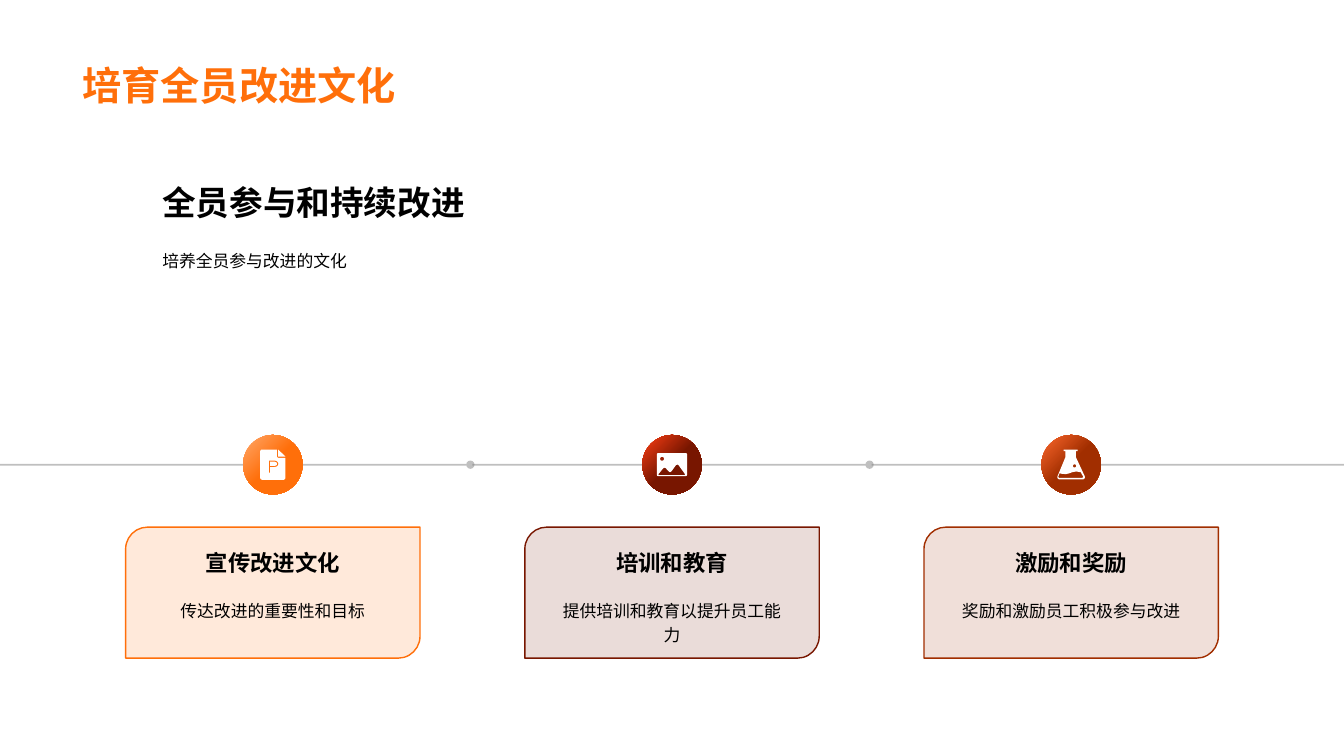
import math

import pptx
import pptx.dml.color
import pptx.enum.shapes
import pptx.enum.text
import pptx.oxml
import pptx.oxml.ns
import pptx.util

# The slide is a grid of square cells, ten to the inch.
CELL = 91440
COLUMNS, ROWS = 133.33, 75
STEP_PITCH = 39.6
AXIS_ROW = 46.1
LINE_GAP = 0.2

SHAPES = pptx.enum.shapes.MSO_SHAPE
ANCHORS = pptx.enum.text.MSO_ANCHOR
ALIGNS = pptx.enum.text.PP_ALIGN


def cells(*counts):
    return [pptx.util.Emu(round(count * CELL)) for count in counts]


def rgb(hex_string):
    return pptx.dml.color.RGBColor.from_string(hex_string)


def set_opacity(fill, percent):
    color = fill._xPr.find(".//" + pptx.oxml.ns.qn("a:srgbClr"))
    alpha = color.makeelement(pptx.oxml.ns.qn("a:alpha"), {"val": str(percent * 1000)})
    color.append(alpha)


def add_text(slide, text, box, size, color="000000", bold=False, align=ALIGNS.LEFT,
             anchor=ANCHORS.TOP, inset=(1.2, 1.2), line_spacing=None):
    frame = slide.shapes.add_textbox(*cells(*box)).text_frame
    frame.word_wrap = True
    frame.vertical_anchor = anchor
    frame.margin_left = frame.margin_right = cells(inset[0])[0]
    frame.margin_top = frame.margin_bottom = cells(inset[1])[0]
    paragraph = frame.paragraphs[0]
    paragraph.alignment = align
    if line_spacing:
        paragraph.line_spacing = line_spacing
    run = paragraph.add_run()
    run.text = text
    run.font.name = "Arial"
    run.font.size = pptx.util.Pt(size)
    run.font.bold = bold
    run.font.color.rgb = rgb(color)
    run._r.get_or_add_rPr().set("lang", "zh-CN")


def add_axis(slide, start, end, dotted_end):
    axis = slide.shapes.add_connector(
        pptx.enum.shapes.MSO_CONNECTOR.STRAIGHT, *cells(start, AXIS_ROW, end, AXIS_ROW))
    axis.line.width = pptx.util.Pt(1.25)
    axis.line.color.rgb = rgb("808080")
    set_opacity(axis.line.fill, 50)
    outline = axis.line._get_or_add_ln()
    if dotted_end:
        outline.append(outline.makeelement(pptx.oxml.ns.qn("a:tailEnd"), {"type": "oval"}))
    properties = axis._element.spPr
    properties.append(properties.makeelement(pptx.oxml.ns.qn("a:effectLst"), {}))


def add_card(slide, center, color):
    card = slide.shapes.add_shape(SHAPES.ROUND_2_DIAG_RECTANGLE,
                                  *cells(center - 14.6, 52.3, 29.2, 13))
    card.shadow.inherit = False
    card.fill.solid()
    card.fill.fore_color.rgb = rgb(color)
    set_opacity(card.fill, 15)
    card.line.color.rgb = rgb(color)
    card.line.width = pptx.util.Pt(1)


def add_badge(slide, center, light, dark):
    size = 5.9
    badge = slide.shapes.add_shape(
        SHAPES.OVAL, *cells(center - size / 2, AXIS_ROW - size / 2, size, size))
    badge.shadow.inherit = False
    badge.line.fill.background()
    badge.fill.gradient()
    badge.fill.gradient_angle = 315
    for stop, color, position in zip(badge.fill.gradient_stops, (light, dark), (0, 0.5)):
        stop.color.rgb = rgb(color)
        stop.position = position


def arc(x, y, radius, start=0, end=360, radius_y=None):
    """Points of an elliptical arc; degrees run clockwise from the right."""
    angles = [math.radians(start + (end - start) * i / 16) for i in range(17)]
    return [(x + radius * math.cos(a), y + (radius_y or radius) * math.sin(a))
            for a in angles]


def add_icon(slide, center, width, height, contours):
    """Draw contours, in tenths of a cell, as one white outline with holes."""
    contours = [[(x * 10, y * 10) for x, y in contour] for contour in contours]
    builder = slide.shapes.build_freeform(*contours[0][0], scale=CELL / 100)
    for index, contour in enumerate(contours):
        if index:
            builder.move_to(*contour[0])
        builder.add_line_segments(contour[1:], close=True)
    icon = builder.convert_to_shape(
        *cells(center - width / 20, AXIS_ROW - height / 20))
    icon.shadow.inherit = False
    icon.fill.solid()
    icon.fill.fore_color.rgb = rgb("FFFFFF")
    icon.line.fill.background()


def document_contours():
    page = [(16.5, 0), (16.5, 7), *arc(18, 7, 1.2, 180, 90), (25, 8.2),
            *arc(23, 28, 2, 0, 90), *arc(2, 28, 2, 90, 180), *arc(2, 2, 2, 180, 270)]
    letter = [(8.6, 11), *arc(14, 14.2, 4, -90, 90, 3.2), (9.8, 17.4), (9.8, 23), (8.6, 23)]
    letter_hole = [(9.8, 12.1), *arc(13.8, 14.2, 2.9, -90, 90, 2.1), (9.8, 16.3)]
    fold = [(17.8, 0), (25, 7), (17.8, 7)]
    return page, letter, letter_hole, fold


def landscape_contours():
    frame = [*arc(28.5, 1.5, 1.5, -90, 0), *arc(28.5, 21.5, 1.5, 0, 90),
             *arc(1.5, 21.5, 1.5, 90, 180), *arc(1.5, 1.5, 1.5, 180, 270)]
    hills = [(1.5, 21), (6.5, 15), (7.5, 14.5), (8.8, 15), (12, 18.5), (13.2, 19),
             (14.5, 18.2), (19, 12), (20.3, 11.4), (21.5, 12), (28, 21), (27.8, 22),
             (2, 22)]
    return frame, hills, arc(5.2, 5.7, 2)


def flask_contours():
    glass = [(6.5, 0), (20.5, 0), (20.5, 1.5), (18.7, 1.5), (18.7, 7.5), (27.3, 26),
             *arc(25.5, 27.5, 2.2, -30, 90), *arc(2.5, 27.5, 2.2, 90, 210),
             (8.4, 7.5), (8.4, 1.5), (6.5, 1.5)]
    liquid = [(2.6, 23.5), (5, 24.2), (9, 24.4), (12, 23.7), (15, 22.6), (19, 21.8),
              (23.6, 22.6), (26, 27), (25.3, 28.2), (2, 28.2), (1.2, 27)]
    return glass, liquid, arc(17.4, 16.3, 1.6)


def add_step(slide, center, heading, detail, light, dark, icon):
    add_card(slide, center, dark)
    text_left, text_width = center - 12.55, 25.1
    add_text(slide, heading, (text_left, 53.4, text_width, 4.7), size=16, bold=True,
             align=ALIGNS.CENTER, anchor=ANCHORS.BOTTOM, inset=(1, 1))
    add_text(slide, detail, (text_left, 58, text_width, 7), size=12,
             align=ALIGNS.CENTER, line_spacing=1.2)
    add_badge(slide, center, light, dark)
    add_icon(slide, center, *icon)


def main():
    deck = pptx.Presentation()
    deck.slide_width, deck.slide_height = cells(COLUMNS, ROWS)
    slide = deck.slides.add_slide(deck.slide_layouts[6])

    add_text(slide, "培育全员改进文化", (7.2, 0, 118.8, 11.2), size=28, color="FF6F0A",
             bold=True, anchor=ANCHORS.BOTTOM, inset=(1, 0.5))
    add_text(slide, "全员参与和持续改进", (14.9, 16.8, 60.6, 6.4), size=24, bold=True,
             anchor=ANCHORS.BOTTOM)
    add_text(slide, "培养全员参与改进的文化", (14.9, 23.3, 60.6, 4.6), size=12,
             line_spacing=1.2)

    middle = COLUMNS / 2
    joints = [middle - STEP_PITCH / 2, middle + STEP_PITCH / 2]
    starts = [0, *joints]
    ends = [joint - LINE_GAP for joint in joints] + [COLUMNS]
    for start, end in zip(starts, ends):
        add_axis(slide, start, end, dotted_end=end < COLUMNS)

    steps = [
        ("宣传改进文化", "传达改进的重要性和目标", "FFA96C", "FF6F0A",
         (25, 30, document_contours())),
        ("培训和教育", "提供培训和教育以提升员工能力", "FF4015", "781600",
         (30, 23, landscape_contours())),
        ("激励和奖励", "奖励和激励员工积极参与改进", "FF692E", "A12E00",
         (28, 30, flask_contours())),
    ]
    for index, step in enumerate(steps):
        add_step(slide, middle + (index - 1) * STEP_PITCH, *step)

    deck.save("out.pptx")


if __name__ == "__main__":
    main()
